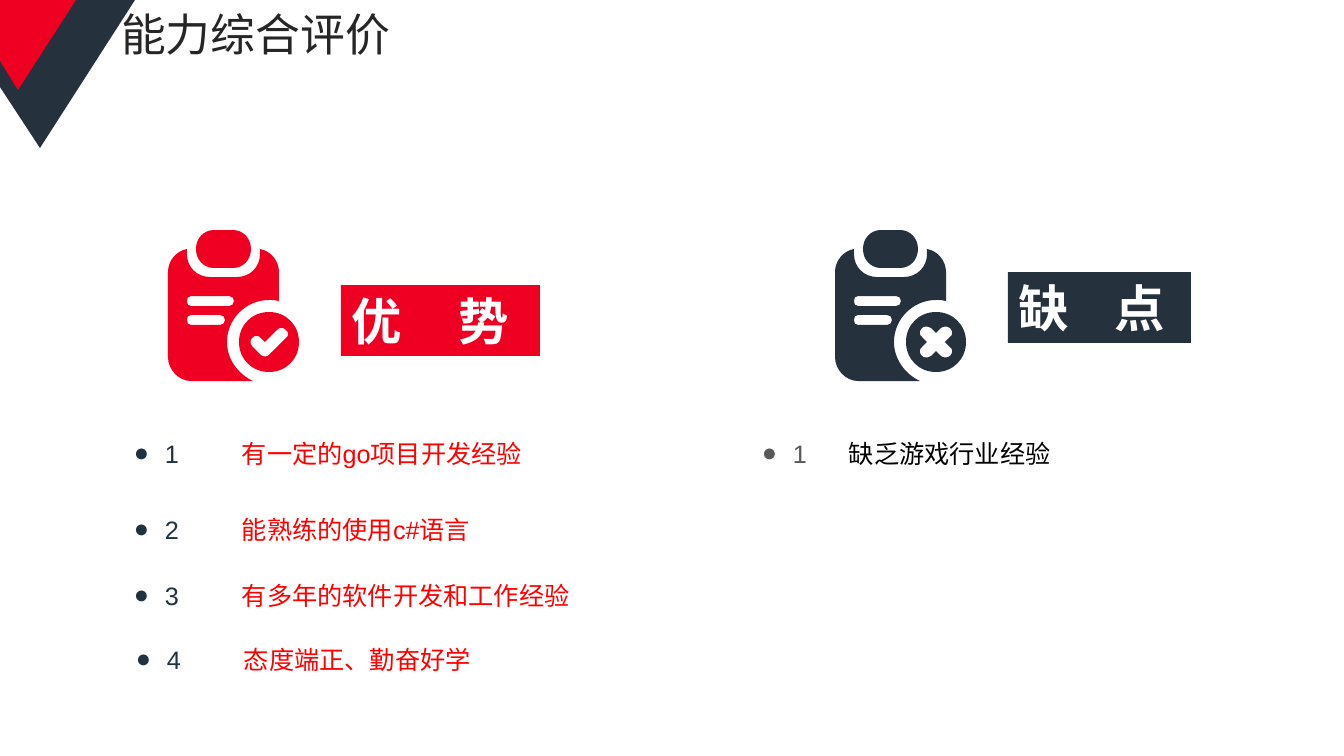
from lxml import etree
from pptx import Presentation
from pptx.dml.color import RGBColor
from pptx.enum.shapes import MSO_SHAPE
from pptx.enum.text import MSO_ANCHOR, PP_ALIGN
from pptx.oxml.ns import qn
from pptx.util import Pt

RECT = MSO_SHAPE.RECTANGLE
LEFT = PP_ALIGN.LEFT
JUST = PP_ALIGN.JUSTIFY
MIDDLE = MSO_ANCHOR.MIDDLE
PX = 914400 / 100.8
RED, NAVY, WHITE = "EF0023", "25313D", "FFFFFF"

deck = Presentation()
deck.slide_width, deck.slide_height = round(1344 * PX), round(756 * PX)
slide = deck.slides.add_slide(deck.slide_layouts[5])
shapes = slide.shapes


def paint(shape, color):
    shape.shadow.inherit = False
    shape.fill.solid()
    shape.fill.fore_color.rgb = RGBColor.from_string(color)
    shape.line.fill.background()
    return shape


def write(par, size, parts):
    par.font.name, par.font.size = "Arial", Pt(size)
    for text, color, gap in parts:
        run = par.add_run()
        run.text = text
        run.font.color.rgb = RGBColor.from_string(color)
        if gap:
            run.font._element.set("spc", str(gap * 100))


corner = [
    (NAVY, [(0, 0), (135, 0), (40, 148), (0, 87)]),
    (RED, [(0, 0), (76, 0), (18, 90), (0, 61)]),
]
for color, points in corner:
    form = shapes.build_freeform(*points[0], scale=PX)
    form.add_line_segments(points[1:], close=True)
    paint(form.convert_to_shape(), color)

title = shapes.title
title.left, title.top, title.width, title.height = [round(n * PX) for n in (111, 1, 865, 72)]
title.text_frame.vertical_anchor = MIDDLE
par = title.text_frame.paragraphs[0]
par.alignment, par.line_spacing = LEFT, 0.9
write(par, 32, [("能力综合评价", "262626", 0)])

clip = [
    (251, 249), (251, 260, 243, 268, 233, 268), (214, 268),
    (204, 268, 196, 260, 196, 249), (196, 238, 204, 230, 214, 230),
    (233, 230), (243, 230, 251, 238, 251, 249),
]
board = [
    (260, 249), (260, 251, 260, 252, 260, 254), (260, 267, 250, 277, 237, 277),
    (210, 277), (197, 277, 187, 267, 187, 254), (187, 252, 187, 251, 187, 249),
    (176, 251, 168, 261, 168, 272), (168, 357), (168, 370, 179, 381, 191, 381),
    (253, 381), (238, 374, 227, 359, 227, 342), (227, 319, 246, 300, 269, 300),
    (273, 300, 276, 300, 279, 301), (279, 272), (279, 261, 271, 251, 260, 249),
]
disc = [
    (299, 342), (299, 359, 286, 372, 269, 372), (252, 372, 239, 359, 239, 342),
    (239, 325, 252, 312, 269, 312), (286, 312, 299, 325, 299, 342),
]
bars = [
    [
        (x, y + 5), (191, y + 5), (188, y + 5, 187, y + 3, 187, y),
        (187, y - 3, 188, y - 5, 191, y - 5), (x, y - 5),
        (x + 3, y - 5, x + 5, y - 3, x + 5, y), (x + 5, y + 3, x + 3, y + 5, x, y + 5),
    ]
    for x, y in ((229, 301), (220, 320))
]
check = [
    (286, 338), (269, 355), (267, 357, 263, 357, 261, 355), (252, 346),
    (250, 344, 250, 340, 252, 338), (255, 335, 258, 335, 261, 338), (265, 342),
    (277, 330), (280, 327, 283, 327, 286, 330), (289, 332, 289, 336, 286, 338),
]
cross = [
    (283, 328), (286, 331, 286, 335, 283, 337), (278, 342), (283, 347),
    (286, 349, 286, 353, 283, 356), (280, 358, 277, 358, 274, 356), (269, 351),
    (264, 356), (261, 358, 257, 358, 255, 356), (252, 353, 252, 349, 255, 347),
    (260, 342), (255, 337), (252, 335, 252, 331, 255, 328),
    (257, 326, 261, 326, 264, 328), (269, 333), (274, 328),
    (277, 326, 280, 326, 283, 328),
]
panels = [
    (0, RED, check, (341, 285, 199, 71), "优势", 32),
    (667, NAVY, cross, (1008, 272, 183, 71), "缺点", 24),
]
for shift, color, mark, label, words, gap in panels:
    rings = [clip, disc, mark, board, *bars]
    form = shapes.build_freeform(clip[0][0] + shift, clip[0][1], scale=PX)
    for ring in rings:
        if ring is not clip:
            form.move_to(ring[0][0] + shift, ring[0][1])
        points = [(s[i] + shift, s[i + 1]) for s in ring[1:] for i in range(0, len(s), 2)]
        form.add_line_segments(points, close=True)
    icon = paint(form.convert_to_shape(), color)
    nodes = iter(list(icon._element.iter(qn("a:lnTo"))))
    for step in [s for ring in rings for s in ring[1:]]:
        node = next(nodes)
        if len(step) == 6:
            node.tag = qn("a:cubicBezTo")
            for more in (next(nodes), next(nodes)):
                node.append(more[0])
                more.getparent().remove(more)

    box = paint(shapes.add_shape(RECT, *[round(n * PX) for n in label]), color)
    box.text_frame.word_wrap = True
    box.text_frame.vertical_anchor = MIDDLE
    box.text_frame.margin_left = round(11 * PX)
    par = box.text_frame.paragraphs[0]
    par.alignment, par.font.bold = LEFT, True
    write(par, 36, [(words[0], WHITE, 0), (" ", WHITE, gap), (words[1], WHITE, 0)])

items = [
    (124, 433, "1", "有一定的go项目开发经验", "1F3240", "FF0000", 40),
    (124, 509, "2", "能熟练的使用c#语言", "1F3240", "FF0000", 40),
    (124, 575, "3", "有多年的软件开发和工作经验", "1F3240", "FF0000", 40),
    (126, 639, "4", "态度端正、勤奋好学", "1F3240", "FF0000", 40),
    (752, 433, "1", "缺乏游戏行业经验", "595959", "000000", 25),
]
for x, y, mark, text, dark, tone, gap in items:
    box = shapes.add_textbox(*[round(n * PX) for n in (x, y, 513, 72)])
    box.text_frame.word_wrap = True
    par = box.text_frame.paragraphs[0]
    par.alignment = JUST
    props = par._p.get_or_add_pPr()
    props.set("marL", str(round(31 * PX)))
    props.set("indent", str(round(-31 * PX)))
    etree.SubElement(props, qn("a:buFont"), typeface="Arial")
    etree.SubElement(props, qn("a:buChar"), char="●")
    write(par, 18, [(mark, dark, 0), (" ", dark, gap), (text, tone, 0)])

deck.save("out.pptx")
